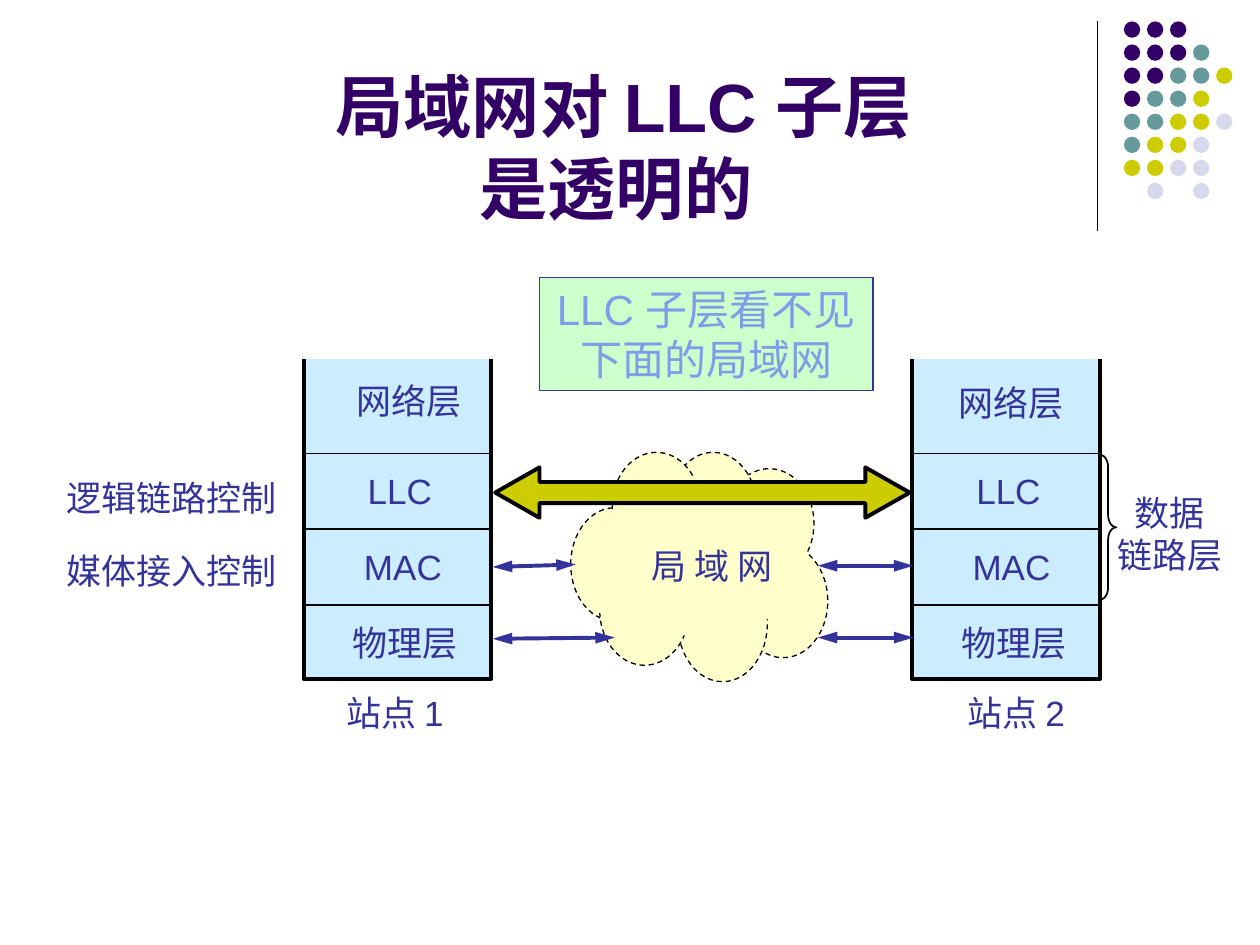
from dataclasses import dataclass

from lxml import etree
from pptx import Presentation
from pptx.dml.color import RGBColor
from pptx.enum.dml import MSO_LINE
from pptx.enum.shapes import MSO_CONNECTOR, MSO_SHAPE
from pptx.enum.text import MSO_ANCHOR, MSO_AUTO_SIZE, PP_ALIGN
from pptx.oxml.ns import qn
from pptx.util import Inches, Pt

STRAIGHT = MSO_CONNECTOR.STRAIGHT
OVAL, RECTANGLE = MSO_SHAPE.OVAL, MSO_SHAPE.RECTANGLE
DOUBLE_ARROW, BRACE = MSO_SHAPE.LEFT_RIGHT_ARROW, MSO_SHAPE.RIGHT_BRACE
LEFT, CENTER = PP_ALIGN.LEFT, PP_ALIGN.CENTER
TOP, BOTTOM = MSO_ANCHOR.TOP, MSO_ANCHOR.BOTTOM
FIT_SHAPE = MSO_AUTO_SIZE.SHAPE_TO_FIT_TEXT
DASH = MSO_LINE.DASH


@dataclass(frozen=True)
class Theme:
    font: str = "Arial"
    title: str = "330066"
    text: str = "333399"
    callout_text: str = "7E9CE8"
    callout: str = "CCFFCC"
    station: str = "CCECFF"
    cloud: str = "FFFFCC"
    arrow: str = "CCCC00"
    black: str = "000000"
    title_size: int = 39
    callout_size: int = 24
    label_size: int = 20
    heavy: float = 2.25
    medium: float = 1
    thin: float = 0.75


THEME = Theme()

TITLE = "局域网对 LLC 子层\v是透明的 "
CALLOUT = "LLC 子层看不见\n下面的局域网"
LABELS = [
    ("局 域 网", 5.07, 4.27, 1.18),
    ("网络层", 2.73, 2.96, 1.06),
    ("网络层", 7.51, 2.98, 1.06),
    ("逻辑链路控制", 0.43, 3.73, 1.9),
    ("媒体接入控制", 0.43, 4.31, 1.9),
    ("LLC", 2.82, 3.68, 0.71),
    ("LLC", 7.65, 3.68, 0.71),
    ("MAC", 2.79, 4.28, 0.82),
    ("MAC", 7.62, 4.28, 0.82),
    ("物理层", 2.7, 4.88, 1.06),
    ("物理层", 7.53, 4.88, 1.06),
    ("站点 1", 2.65, 5.44, 1.06),
    ("站点 2", 7.58, 5.44, 1.06),
]
DOT_COLORS = {"P": "330066", "T": "669999", "Y": "CCCC00", "L": "D8D8EC"}
DOT_ROWS = ["PPP", "PPPT", "PPTTY", "PTTY", "TTYYL", "TYYL", "YYLL", " L L"]
DOT_LEFT, DOT_TOP, DOT_STEP, DOT_SIZE = 8.92, 0.17, 0.183, 0.13

CLOUD_PUFFS = [
    (5.86, 4.32, 0.71, 0.9),
    (4.53, 4.03, 0.7, 0.9),
    (5.75, 3.72, 0.71, 0.87),
    (5.38, 4.49, 0.71, 0.92),
    (4.76, 4.41, 0.71, 0.87),
    (5.31, 3.59, 0.7, 0.9),
    (4.86, 3.59, 0.7, 0.86),
]
CLOUD_CORE = (4.71, 3.8, 1.7, 1.25)
CLOUD_PATCH = [(4.78, 4.64), (4.82, 4.68), (4.78, 4.87), (4.74, 4.86), (4.75, 4.78)]

STATION_LEFTS = [2.41, 7.24]
STATION_TOP, STATION_BOTTOM, STATION_WIDTH = 2.85, 5.39, 1.49
LAYER_LINES = [3.6, 4.2, 4.8]
LINKS = [
    ((3.91, 5.07), (4.88, 5.06)),
    ((7.25, 5.06), (6.49, 5.06)),
    ((3.91, 4.5), (4.57, 4.48)),
    ((7.25, 4.49), (6.49, 4.49)),
]


def style_shape(shape, fill=None, line=None, width=THEME.thin, dash=None):
    shape.shadow.inherit = False
    if fill:
        shape.fill.solid()
        shape.fill.fore_color.rgb = RGBColor.from_string(fill)
    else:
        shape.fill.background()
    if line:
        shape.line.color.rgb = RGBColor.from_string(line)
        shape.line.width = Pt(width)
        shape.line.dash_style = dash
    else:
        shape.line.fill.background()


def add_shape(slide, kind, box, **style):
    shape = slide.shapes.add_shape(kind, *map(Inches, box))
    style_shape(shape, **style)
    return shape


def add_outline(slide, points, closed, **style):
    corners = [(Inches(x), Inches(y)) for x, y in points]
    builder = slide.shapes.build_freeform(*corners[0])
    builder.add_line_segments(corners[1:], close=closed)
    style_shape(builder.convert_to_shape(), **style)


def add_line(slide, start, end, color, width, arrows=False):
    connector = slide.shapes.add_connector(STRAIGHT, *map(Inches, (*start, *end)))
    connector.line.color.rgb = RGBColor.from_string(color)
    connector.line.width = Pt(width)
    if arrows:
        line = connector.line._get_or_add_ln()
        for tag in ("a:headEnd", "a:tailEnd"):
            etree.SubElement(line, qn(tag), type="triangle", w="med", len="lg")
    etree.SubElement(connector._element.spPr, qn("a:effectLst"))


def write_text(shape, text, size, color, align=LEFT, bold=False, anchor=TOP, wrap=False):
    frame = shape.text_frame
    frame.text = text
    frame.word_wrap = wrap
    frame.vertical_anchor = anchor
    if not wrap:
        frame.auto_size = FIT_SHAPE
    for paragraph in frame.paragraphs:
        paragraph.alignment = align
        for run in paragraph.runs:
            run.font.name = THEME.font
            run.font.size = Pt(size)
            run.font.bold = bold
            run.font.color.rgb = RGBColor.from_string(color)


def add_text(slide, text, box, size=THEME.label_size, color=THEME.text, **options):
    write_text(slide.shapes.add_textbox(*map(Inches, box)), text, size, color, **options)


def add_dots(slide):
    for row, colors in enumerate(DOT_ROWS):
        for column, key in enumerate(colors):
            if key in DOT_COLORS:
                left, top = DOT_LEFT + column * DOT_STEP, DOT_TOP + row * DOT_STEP
                add_shape(slide, OVAL, (left, top, DOT_SIZE, DOT_SIZE), fill=DOT_COLORS[key])


def add_cloud(slide):
    for puff in CLOUD_PUFFS:
        add_shape(slide, OVAL, puff, fill=THEME.cloud, line=THEME.black, dash=DASH)
    add_shape(slide, OVAL, CLOUD_CORE, fill=THEME.cloud)
    add_outline(slide, CLOUD_PATCH, True, fill=THEME.cloud)


def add_station(slide, left):
    right = left + STATION_WIDTH
    outline = [(left, STATION_TOP), (left, STATION_BOTTOM),
               (right, STATION_BOTTOM), (right, STATION_TOP)]
    add_outline(slide, outline, False, fill=THEME.station, line=THEME.black, width=THEME.heavy)
    for y in LAYER_LINES:
        add_line(slide, (left + 0.01, y), (right - 0.01, y), THEME.black, THEME.medium)


def main():
    """Build the slide on LLC transparency in local area networks."""
    presentation = Presentation()
    presentation.slide_width, presentation.slide_height = Inches(10), Inches(7.5)
    slide = presentation.slides.add_slide(presentation.slide_layouts[6])

    add_line(slide, (8.71, 0.17), (8.71, 1.83), THEME.black, THEME.thin)
    add_dots(slide)
    add_cloud(slide)
    add_text(slide, TITLE, (1.2, 1.02, 7.5, 0.84), THEME.title_size, THEME.title,
             align=CENTER, bold=True, anchor=BOTTOM, wrap=True)
    for left in STATION_LEFTS:
        add_station(slide, left)
    for start, end in LINKS:
        add_line(slide, start, end, THEME.text, THEME.heavy, arrows=True)

    arrow = add_shape(slide, DOUBLE_ARROW, (3.93, 3.71, 3.29, 0.4),
                      fill=THEME.arrow, line=THEME.black, width=THEME.heavy)
    arrow.adjustments[0], arrow.adjustments[1] = 0.42, 0.88
    brace = add_shape(slide, BRACE, (8.73, 3.61, 0.13, 1.15),
                      line=THEME.black, width=THEME.medium)
    brace.adjustments[0] = 0.75

    for text, left, top, width in LABELS:
        add_text(slide, text, (left, top, width, 0.43))
    add_text(slide, "数据\n链路层", (8.75, 3.85, 1.07, 0.76), align=CENTER)
    callout = add_shape(slide, RECTANGLE, (4.28, 2.2, 2.65, 0.9),
                        fill=THEME.callout, line=THEME.text)
    write_text(callout, CALLOUT, THEME.callout_size, THEME.callout_text, align=CENTER)
    presentation.save("out.pptx")


if __name__ == "__main__":
    main()
